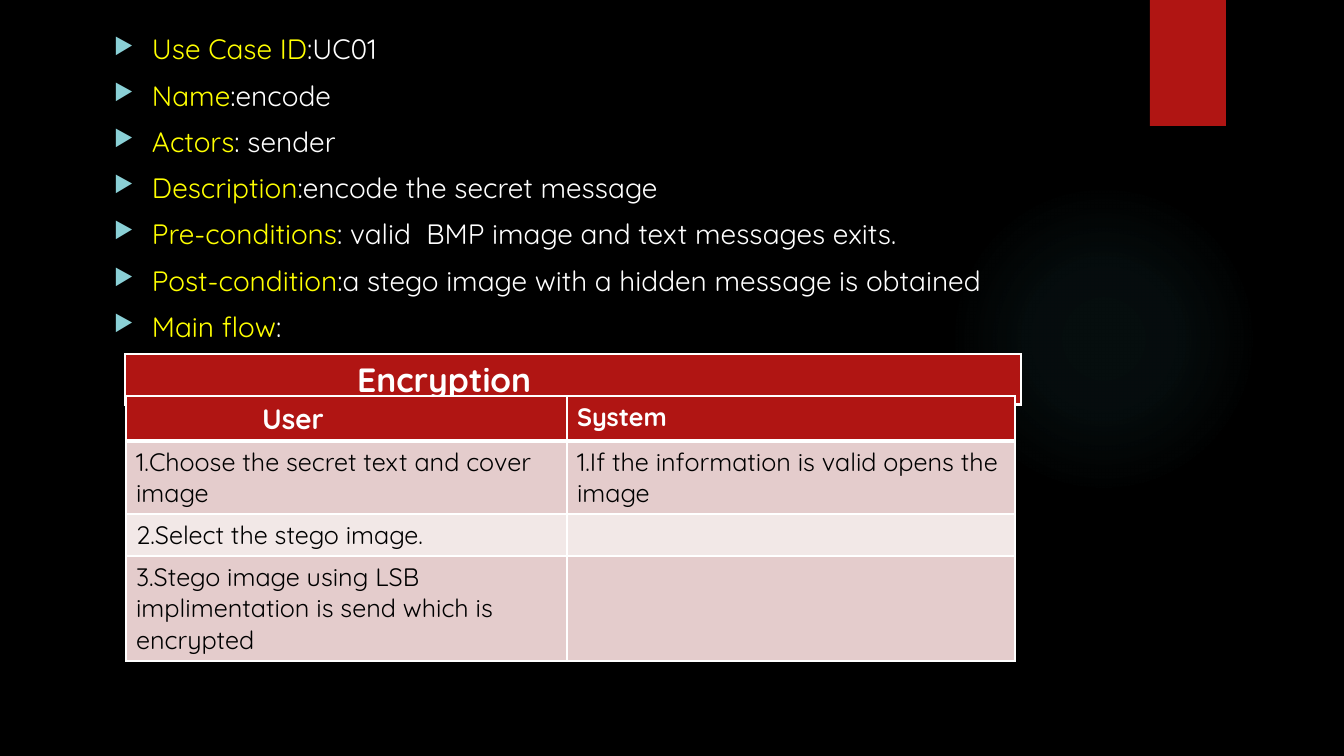
import lxml.etree
import pptx
import pptx.dml.color
import pptx.enum.shapes
import pptx.enum.text
import pptx.oxml
import pptx.oxml.ns
import pptx.util

RGBColor = pptx.dml.color.RGBColor
BLACK = RGBColor(0x00, 0x00, 0x00)
WHITE = RGBColor(0xFF, 0xFF, 0xFF)
YELLOW = RGBColor(0xFF, 0xFF, 0x00)
RED = RGBColor(0xB0, 0x15, 0x13)
TEAL = RGBColor(0x50, 0xB9, 0xC1)
PALE_TEAL = RGBColor(0x8A, 0xD0, 0xD6)
ROSE = RGBColor(0xE4, 0xCC, 0xCC)
PALE_ROSE = RGBColor(0xF2, 0xE8, 0xE7)

USE_CASE = [
    ("Use Case ID", ":UC01"),
    ("Name", ":encode"),
    ("Actors", ": sender"),
    ("Description", ":encode the secret message"),
    ("Pre-conditions", ": valid  BMP image and text messages exits."),
    ("Post-condition", ":a stego image with a hidden message is obtained"),
    ("Main flow", ":"),
]
FLOW = [
    ("User", "System"),
    ("1.Choose the secret text and cover image", "1.If the information is valid opens the image"),
    ("2.Select the stego image.", ""),
    ("3.Stego image using LSB implimentation is send which is encrypted", ""),
]


def px(length):
    return pptx.util.Emu(round(length * 914400 / 100.8))


def add_xml(parent, tag, **attributes):
    return lxml.etree.SubElement(parent, pptx.oxml.ns.qn(tag), attributes)


class SlideBuilder:
    font_name = "Quicksand"

    def __init__(self, presentation):
        self.slide = presentation.slides.add_slide(presentation.slide_layouts[6])
        self.slide.background.fill.solid()
        self.slide.background.fill.fore_color.rgb = BLACK

    def style_run(self, run, size, color, bold=False):
        run.font.name = self.font_name
        run.font.size = pptx.util.Pt(size)
        run.font.color.rgb = color
        run.font.bold = bold

    def shape(self, kind, box, color):
        shape = self.slide.shapes.add_shape(kind, *map(px, box))
        shape.shadow.inherit = False
        shape.fill.solid()
        shape.fill.fore_color.rgb = color
        shape.line.fill.background()
        return shape

    def glow(self, box, color, stops):
        shape = self.shape(pptx.enum.shapes.MSO_SHAPE.OVAL, box, color)
        properties = shape._element.spPr
        solid = properties.find(pptx.oxml.ns.qn("a:solidFill"))
        gradient = lxml.etree.Element(pptx.oxml.ns.qn("a:gradFill"))
        stop_list = add_xml(gradient, "a:gsLst")
        for position, opacity in stops:
            stop = add_xml(stop_list, "a:gs", pos=str(position * 1000))
            stop_color = add_xml(stop, "a:srgbClr", val=str(color))
            add_xml(stop_color, "a:alpha", val=str(opacity * 1000))
        circle = add_xml(gradient, "a:path", path="circle")
        add_xml(circle, "a:fillToRect", l="50000", t="50000", r="50000", b="50000")
        properties.replace(solid, gradient)

    def labelled_list(self, box, items, size, indent):
        text_frame = self.slide.shapes.add_textbox(*map(px, box)).text_frame
        text_frame.word_wrap = True
        text_frame.text = "\n".join(label for label, _ in items)
        for paragraph, (_, value) in zip(text_frame.paragraphs, items):
            paragraph.space_before = pptx.util.Pt(9)
            paragraph.add_run().text = value
            for run, color in zip(paragraph.runs, (YELLOW, WHITE)):
                self.style_run(run, size, color)
            self.bullet(paragraph, indent)

    def bullet(self, paragraph, indent):
        properties = paragraph._p.get_or_add_pPr()
        properties.set("marL", str(px(indent)))
        properties.set("indent", str(-px(indent)))
        bullet_color = add_xml(properties, "a:buClr")
        add_xml(bullet_color, "a:srgbClr", val=str(PALE_TEAL))
        add_xml(properties, "a:buSzPct", val="80000")
        add_xml(properties, "a:buChar", char="▶")

    def table(self, left, top, widths, heights, rows):
        box = (left, top, sum(widths), sum(heights))
        frame = self.slide.shapes.add_table(len(rows), len(widths), *map(px, box))
        table = frame.table
        for column, width in zip(table.columns, widths):
            column.width = px(width)
        for row, height in zip(table.rows, heights):
            row.height = px(height)
        for row_index, texts in enumerate(rows):
            for column_index, text in enumerate(texts):
                self.cell(table.cell(row_index, column_index), text, row_index)
        return table

    def cell(self, cell, text, row_index):
        header = row_index == 0
        cell.text_frame.text = text
        for run in cell.text_frame.paragraphs[0].runs:
            self.style_run(run, 18, WHITE if header else BLACK, header)
        cell.fill.solid()
        cell.fill.fore_color.rgb = RED if header else (PALE_ROSE, ROSE)[row_index % 2]
        self.borders(cell, top=3 if row_index == 1 else 1, bottom=3 if header else 1)

    def borders(self, cell, top, bottom):
        properties = cell._tc.get_or_add_tcPr()
        sides = (("L", 1), ("R", 1), ("T", top), ("B", bottom))
        for index, (side, width) in enumerate(sides):
            line = add_xml(properties, "a:ln" + side, w=str(pptx.util.Pt(width)))
            add_xml(add_xml(line, "a:solidFill"), "a:srgbClr", val=str(WHITE))
            properties.insert(index, line)

    def indent_title(self, cell, indent, size):
        paragraph = cell.text_frame.paragraphs[0]
        paragraph._p.get_or_add_pPr().set("marL", str(px(indent)))
        paragraph.runs[0].font.size = pptx.util.Pt(size)


def main():
    presentation = pptx.Presentation()
    presentation.slide_width = px(1344)
    presentation.slide_height = px(756)
    builder = SlideBuilder(presentation)
    builder.glow((949, 184, 310, 310), TEAL, [(0, 7), (36, 6), (69, 0), (100, 0)])
    builder.shape(pptx.enum.shapes.MSO_SHAPE.RECTANGLE, (1150, 0, 76, 126), RED)
    builder.labelled_list((104, 27, 986, 463), USE_CASE, size=20, indent=38)
    title_table = builder.table(125, 354, [896], [50], [("Encryption",)])
    builder.indent_title(title_table.cell(0, 0), indent=222, size=24)
    flow_table = builder.table(126, 396, [441, 448], [45, 73, 42, 105], FLOW)
    builder.indent_title(flow_table.cell(0, 0), indent=126, size=20)
    presentation.save("out.pptx")


if __name__ == "__main__":
    main()
